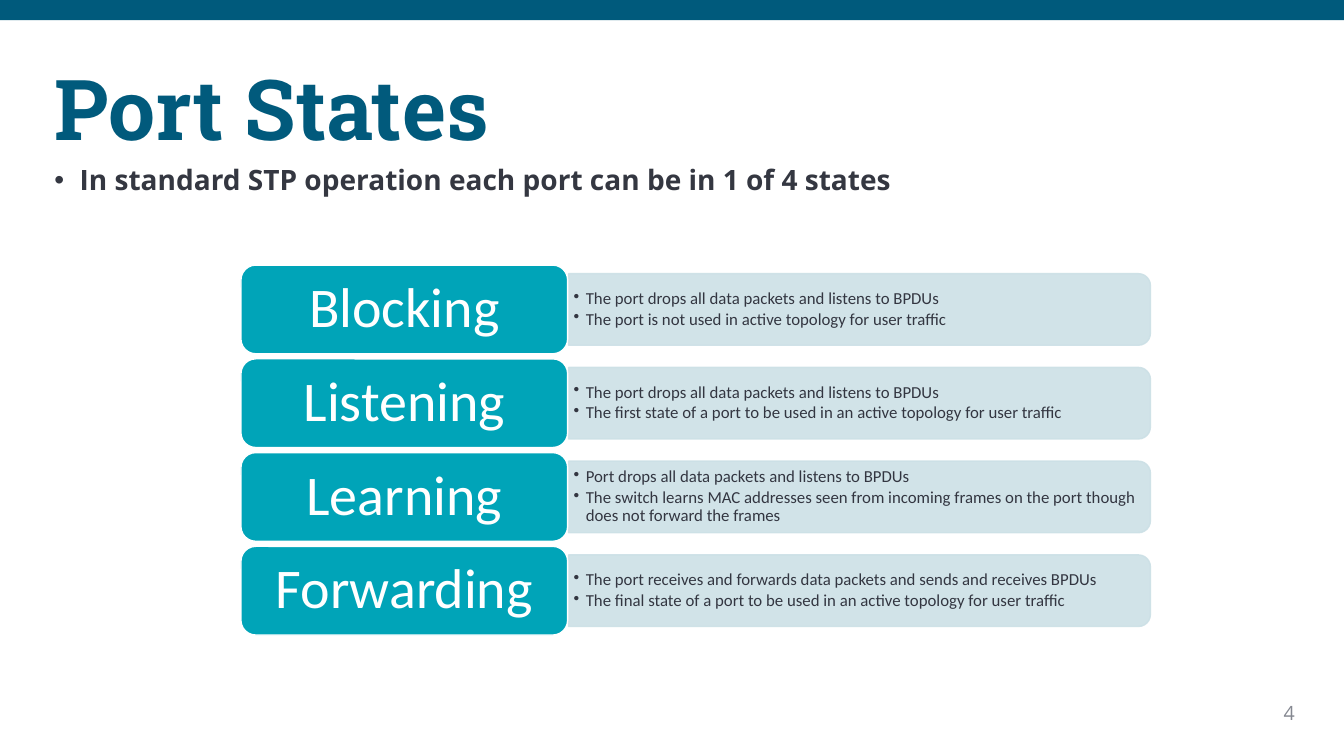
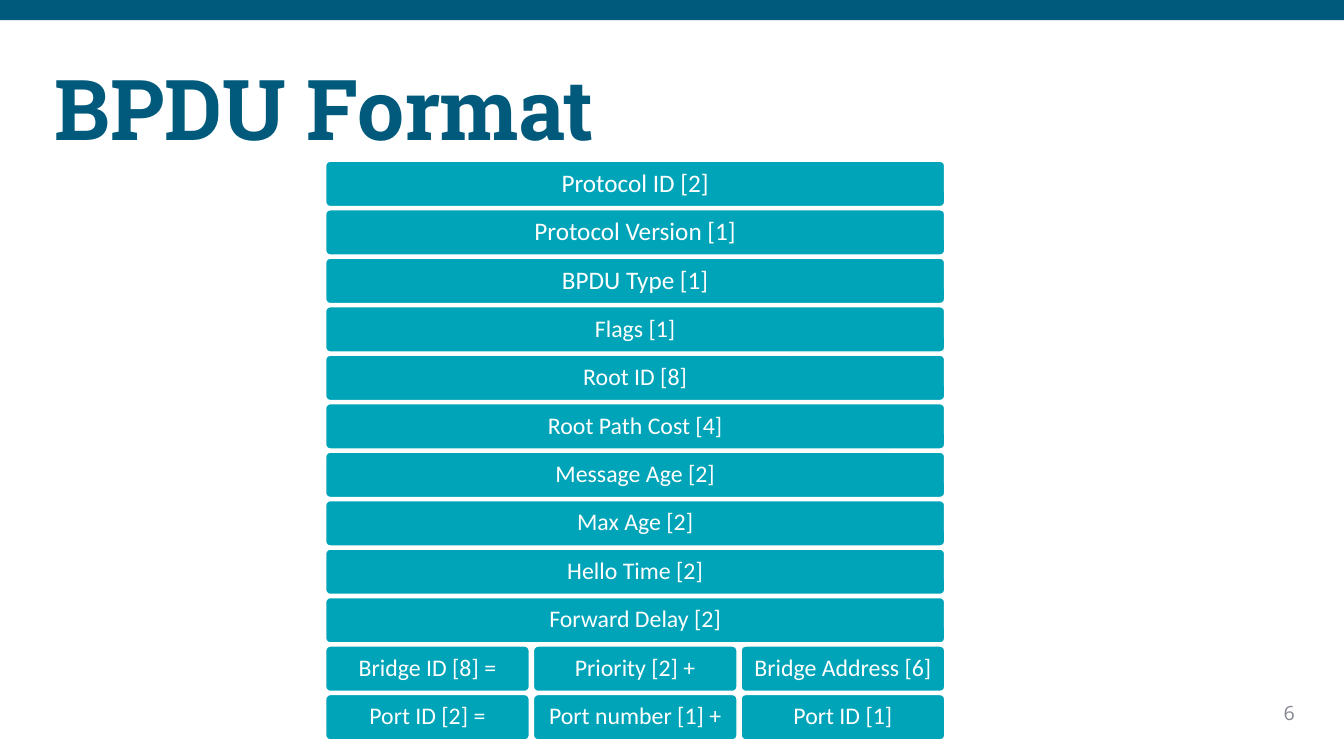
from dataclasses import dataclass

from lxml import etree
from pptx import Presentation
from pptx import util as u
from pptx.dml.color import RGBColor
from pptx.enum import shapes, text
from pptx.oxml.ns import qn

WIDTH, HEIGHT = 13.33, 7.5
MARGIN = 0.44
TITLE_AND_BODY, TITLE_ONLY = 1, 5

BAND, TITLE, BODY, NUMBER = "005A7C", "015A7C", "343741", "858891"
BOX, PANEL, PANEL_TEXT, WHITE = "00A4B8", "CCE0E6", "333641", "FFFFFF"
HEADING_FONT, BODY_FONT, DIAGRAM_FONT = "Roboto Slab", "Open Sans", "Calibri"

STATES = [
    ("Blocking", ["The port drops all data packets and listens to BPDUs",
                  "The port is not used in active topology for user traffic"]),
    ("Listening", ["The port drops all data packets and listens to BPDUs",
                   "The first state of a port to be used in an active topology for user traffic"]),
    ("Learning", ["Port drops all data packets and listens to BPDUs",
                  "The switch learns MAC addresses seen from incoming frames on the port "
                  "though does not forward the frames"]),
    ("Forwarding", ["The port receives and forwards data packets and sends and receives BPDUs",
                    "The final state of a port to be used in an active topology for user traffic"]),
]
BPDU_ROWS = [
    ["Protocol ID [2]"], ["Protocol Version [1]"], ["BPDU Type [1]"], ["Flags [1]"],
    ["Root ID [8]"], ["Root Path Cost [4]"], ["Message Age [2]"], ["Max Age [2]"],
    ["Hello Time [2]"], ["Forward Delay [2]"],
    ["Bridge ID [8] =", "Priority [2] +", "Bridge Address [6]"],
    ["Port ID [2] =", "Port number [1] +", "Port ID [1]"],
]
LARGE_ROWS = 3


@dataclass
class Grid:
    left: float
    top: float
    columns: tuple
    gap: float
    row_height: float
    row_pitch: float

    def cell(self, column, row, span=1):
        """Left, top, width and height of a cell, in inches."""
        left = self.left + sum(self.columns[:column]) + column * self.gap
        width = sum(self.columns[column:column + span]) + (span - 1) * self.gap
        return left, self.top + row * self.row_pitch, width, self.row_height


STATE_GRID = Grid(2.39, 2.63, (3.24, 5.77), 0.01, 0.88, 0.93)
BPDU_GRID = Grid(3.23, 1.6, (2.02,) * 3, 0.04, 0.45, (6.89 - 1.6) / 11)


def inches(lengths):
    return [u.Inches(length) for length in lengths]


def rgb(color):
    return RGBColor.from_string(color)


def place(shape, box):
    shape.left, shape.top, shape.width, shape.height = inches(box)


def add_bullet(paragraph, indent):
    properties = paragraph._p.get_or_add_pPr()
    properties.set("marL", str(u.Inches(indent)))
    properties.set("indent", str(-u.Inches(indent)))
    etree.SubElement(properties, qn("a:buChar"), char="•")


def write(shape, lines, size, font, color, bold=False, align="LEFT", anchor="MIDDLE",
          insets=(0.1, 0.05), bullet=0, before=0, after=0, spacing=0.9):
    """Fill a shape with styled paragraphs; bullet is the hanging indent in inches."""
    frame = shape.text_frame
    frame.word_wrap = True
    frame.auto_size = text.MSO_AUTO_SIZE.NONE
    frame.vertical_anchor = text.MSO_ANCHOR[anchor]
    frame.margin_left = frame.margin_right = u.Inches(insets[0])
    frame.margin_top = frame.margin_bottom = u.Inches(insets[1])
    frame.text = "\n".join(lines)
    for paragraph in frame.paragraphs:
        if bullet:
            add_bullet(paragraph, bullet)
        paragraph.alignment = text.PP_ALIGN[align]
        paragraph.line_spacing = spacing
        paragraph.space_before, paragraph.space_after = u.Pt(before), u.Pt(after)
        paragraph.font.size, paragraph.font.name = u.Pt(size), font
        paragraph.font.bold = bold
        paragraph.font.color.rgb = rgb(color)


def add_block(slide, preset, box, fill, line=None):
    block = slide.shapes.add_shape(preset, *inches(box))
    block.shadow.inherit = False
    block.fill.solid()
    block.fill.fore_color.rgb = rgb(fill)
    if line:
        block.line.color.rgb = rgb(line)
        block.line.width = u.Pt(1)
    else:
        block.line.fill.background()
    return block


def add_label(slide, box, label, size, insets, corner=None):
    block = add_block(slide, shapes.MSO_SHAPE.ROUNDED_RECTANGLE, box, BOX, WHITE)
    if corner is not None:
        block.adjustments[0] = corner
    write(block, [label], size, DIAGRAM_FONT, WHITE, align="CENTER", insets=insets)


def add_panel(slide, box, lines):
    """Bulleted panel, rounded on its right side only."""
    left, top, width, height = box
    depth = 0.71
    upright = (left + (width - depth) / 2, top + (height - width) / 2, depth, width)
    panel = add_block(slide, shapes.MSO_SHAPE.ROUND_2_SAME_RECTANGLE, upright, PANEL, PANEL)
    panel.rotation = 90
    for color in panel._element.spPr.xpath(".//a:srgbClr"):
        etree.SubElement(color, qn("a:alpha"), val="90000")
    details = slide.shapes.add_textbox(*inches((left, top + 0.12, width - 0.04, height - 0.24)))
    write(details, lines, 12, DIAGRAM_FONT, PANEL_TEXT, insets=(0.05, 0.03),
          bullet=0.12, after=1.8)


def add_slide(deck, layout, title, number):
    slide = deck.slides.add_slide(deck.slide_layouts[layout])
    add_block(slide, shapes.MSO_SHAPE.RECTANGLE, (0, 0, WIDTH, 0.2), BAND)
    page = slide.shapes.add_textbox(*inches((12.3, 6.9, 0.64, 0.34)))
    write(page, [str(number)], 14, BODY_FONT, NUMBER, align="RIGHT", anchor="TOP", spacing=1.0)
    heading = slide.shapes.title
    place(heading, (MARGIN, 0.4, 12.73, 1.45))
    write(heading, [title], 60, HEADING_FONT, TITLE, bold=True)
    return slide


def build_port_states(deck):
    slide = add_slide(deck, TITLE_AND_BODY, "Port States", 4)
    summary = slide.placeholders[1]
    place(summary, (MARGIN, 1.6, 12.36, 2.07))
    write(summary, ["In standard STP operation each port can be in 1 of 4 states"],
          20, BODY_FONT, BODY, bold=True, anchor="TOP", bullet=0.25, before=10)
    for row, (state, details) in enumerate(STATES):
        add_panel(slide, STATE_GRID.cell(1, row), details)
        add_label(slide, STATE_GRID.cell(0, row), state, 40, (0.17, 0.08))


def build_bpdu_format(deck):
    slide = add_slide(deck, TITLE_ONLY, "BPDU Format", 6)
    for row, fields in enumerate(BPDU_ROWS):
        span = len(BPDU_GRID.columns) // len(fields)
        size = 18 if row < LARGE_ROWS else 17
        for column, field in enumerate(fields):
            add_label(slide, BPDU_GRID.cell(column, row, span), field, size,
                      (0.08, 0.08), corner=0.1)


def main():
    deck = Presentation()
    deck.slide_width, deck.slide_height = inches((WIDTH, HEIGHT))
    build_port_states(deck)
    build_bpdu_format(deck)
    deck.save("out.pptx")


if __name__ == "__main__":
    main()
